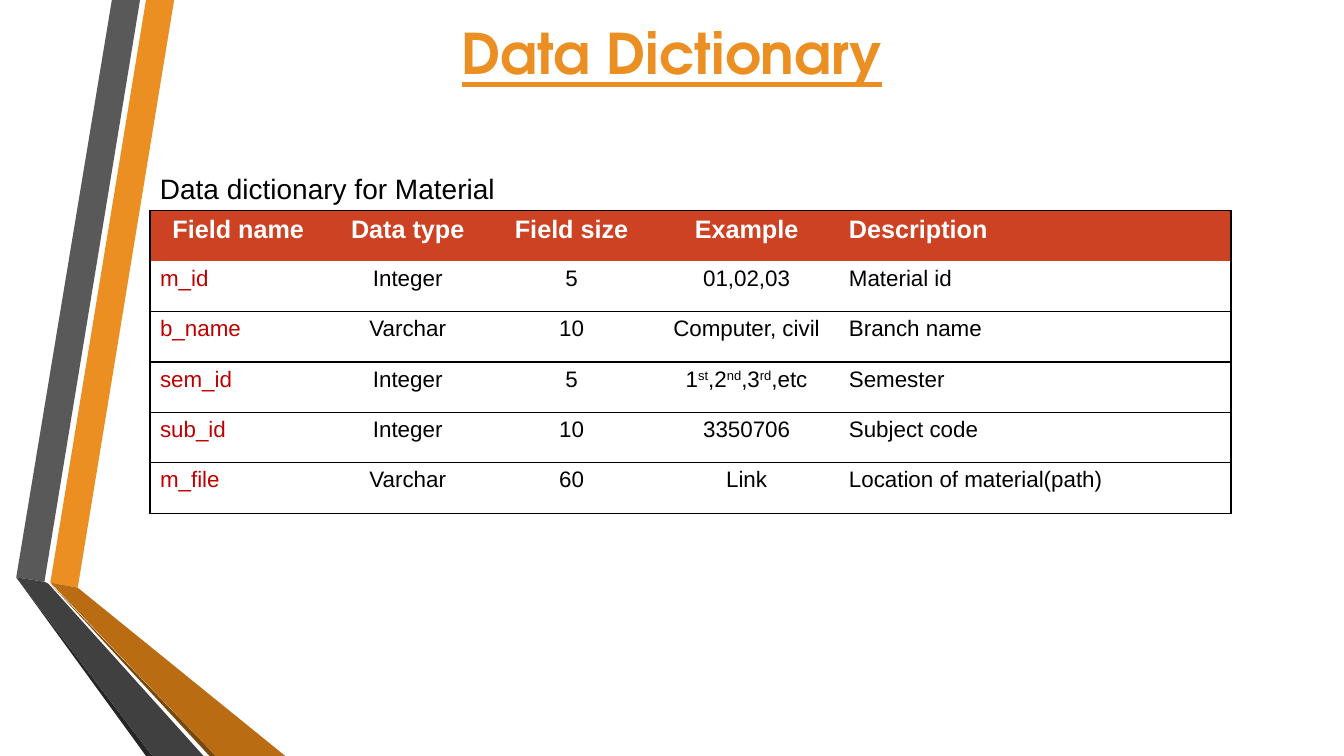
from lxml import etree
from pptx import Presentation
from pptx.dml.color import RGBColor
from pptx.enum.text import MSO_ANCHOR, MSO_AUTO_SIZE, PP_ALIGN
from pptx.oxml.ns import qn
from pptx.util import Cm, Pt

LEFT, CENTER = PP_ALIGN.LEFT, PP_ALIGN.CENTER
TOP, MIDDLE = MSO_ANCHOR.TOP, MSO_ANCHOR.MIDDLE
NO_AUTOSIZE = MSO_AUTO_SIZE.NONE

# Content; text between ^ marks is superscript
TITLE = "Data Dictionary"
CAPTION = "Data dictionary for Material"
FIELDS = [
    ("Field name", "Data type", "Field size", "Example", "Description"),
    ("m_id", "Integer", "5", "01,02,03", "Material id"),
    ("b_name", "Varchar", "10", "Computer, civil", "Branch name"),
    ("sem_id", "Integer", "5", "1^st^,2^nd^,3^rd^,etc", "Semester"),
    ("sub_id", "Integer", "10", "3350706", "Subject code"),
    ("m_file", "Varchar", "60", "Link", "Location of material(path)"),
]

THEME = {
    "orange": "EB8F22", "grey": "595959", "near_black": "262626",
    "dark_brown": "7B480B", "brown": "B96C11", "charcoal": "404040",
    "header": "CD4223", "key": "C00000", "black": "000000", "white": "FFFFFF",
    "title_font": "TeX Gyre Adventor", "body_font": "Arial",
    "title_size": 40, "caption_size": 20, "header_size": 18, "cell_size": 16,
}

# Layout in centimetres
WIDTH, HEIGHT = 33.87, 19.05
TITLE_BOX = (0, 0.33, WIDTH, 1.96)
CAPTION_BOX = (3.78, 4.19, 28.85, 1.12)
TABLE_LEFT, TABLE_TOP, ROW_HEIGHT = 3.78, 5.31, 1.27
COLUMN_WIDTHS = (4.45, 4.09, 4.17, 4.65, 9.88)
COLUMN_ALIGNS = (LEFT, CENTER, CENTER, CENTER, LEFT)
RIBBONS = [
    ("orange", [(1.27, 14.68), (1.96, 14.81), (4.39, 0), (3.68, 0)]),
    ("grey", [(3.53, 0), (2.82, 0), (0.41, 14.55), (1.12, 14.66)]),
    ("near_black", [(0.41, 14.55), (3.68, HEIGHT), (3.84, HEIGHT)]),
    ("dark_brown", [(1.27, 14.71), (5.28, HEIGHT), (5.44, HEIGHT)]),
    ("brown", [(1.27, 14.68), (5.44, HEIGHT), (7.19, HEIGHT), (1.96, 14.81)]),
    ("charcoal", [(5.13, HEIGHT), (1.22, 14.71), (1.12, 14.66),
                  (0.41, 14.55), (3.84, HEIGHT)]),
]


def color(name):
    return RGBColor.from_string(THEME[name])


def set_all(target, values):
    for attribute, value in values.items():
        setattr(target, attribute, value)


def write(frame, text, align, font, size, ink, **styles):
    paragraph = frame.paragraphs[0]
    paragraph.alignment = align
    for index, part in enumerate(text.split("^")):
        run = paragraph.add_run()
        run.text = part
        set_all(run.font, {"name": THEME[font], "size": Pt(THEME[size]), **styles})
        run.font.color.rgb = color(ink)
        if index % 2:
            run.font._element.set("baseline", "30000")


def place(box, bounds, anchor):
    set_all(box, dict(zip(("left", "top", "width", "height"), map(Cm, bounds))))
    set_all(box.text_frame, {"word_wrap": True, "auto_size": NO_AUTOSIZE,
                             "vertical_anchor": anchor})


def draw_ribbon(slide, fill, corners):
    points = [(Cm(x), Cm(y)) for x, y in corners]
    builder = slide.shapes.build_freeform(*points[0])
    builder.add_line_segments(points[1:], close=True)
    ribbon = builder.convert_to_shape()
    ribbon.shadow.inherit = False
    ribbon.fill.solid()
    ribbon.fill.fore_color.rgb = color(fill)
    ribbon.line.fill.background()


def set_borders(cell, visible):
    properties = cell._tc.get_or_add_tcPr()
    for position, side in enumerate(("lnL", "lnR", "lnT", "lnB")):
        line = etree.Element(qn(f"a:{side}"), w=str(Pt(1)))
        if side in visible:
            fill = etree.SubElement(line, qn("a:solidFill"))
            etree.SubElement(fill, qn("a:srgbClr"), val=THEME["black"])
        else:
            etree.SubElement(line, qn("a:noFill"))
        properties.insert(position, line)


def border_sides(row, column):
    last_column = len(COLUMN_WIDTHS) - 1
    rules = {"lnL": column == 0, "lnR": column == last_column,
             "lnT": row != 1, "lnB": row > 0}
    return [side for side, shown in rules.items() if shown]


def add_dictionary(slide):
    dictionary = slide.shapes.add_table(
        len(FIELDS), len(COLUMN_WIDTHS), Cm(TABLE_LEFT), Cm(TABLE_TOP),
        Cm(sum(COLUMN_WIDTHS)), Cm(ROW_HEIGHT * len(FIELDS))).table
    dictionary.horz_banding = False
    for column, width in zip(dictionary.columns, COLUMN_WIDTHS):
        column.width = Cm(width)
    for r, field in enumerate(FIELDS):
        dictionary.rows[r].height = Cm(ROW_HEIGHT)
        for c, text in enumerate(field):
            cell = dictionary.cell(r, c)
            cell.fill.solid()
            cell.fill.fore_color.rgb = color("white" if r else "header")
            set_borders(cell, border_sides(r, c))
            if r == 0:
                align = CENTER if c == 0 else COLUMN_ALIGNS[c]
                size, ink = "header_size", "white"
            else:
                align = COLUMN_ALIGNS[c]
                size, ink = "cell_size", "black" if c else "key"
            write(cell.text_frame, text, align, "body_font", size, ink, bold=r == 0)


def main():
    deck = Presentation()
    set_all(deck, {"slide_width": Cm(WIDTH), "slide_height": Cm(HEIGHT)})
    slide = deck.slides.add_slide(deck.slide_layouts[5])

    # Folded ribbons at the left
    for fill, corners in RIBBONS:
        draw_ribbon(slide, fill, corners)

    # Field table
    add_dictionary(slide)

    # Title and caption
    title = slide.shapes.title
    place(title, TITLE_BOX, TOP)
    write(title.text_frame, TITLE, CENTER, "title_font", "title_size", "orange",
          bold=True, underline=True)
    caption = slide.shapes.add_textbox(*map(Cm, CAPTION_BOX))
    place(caption, CAPTION_BOX, MIDDLE)
    write(caption.text_frame, CAPTION, LEFT, "body_font", "caption_size", "black")

    deck.save("out.pptx")


if __name__ == "__main__":
    main()
